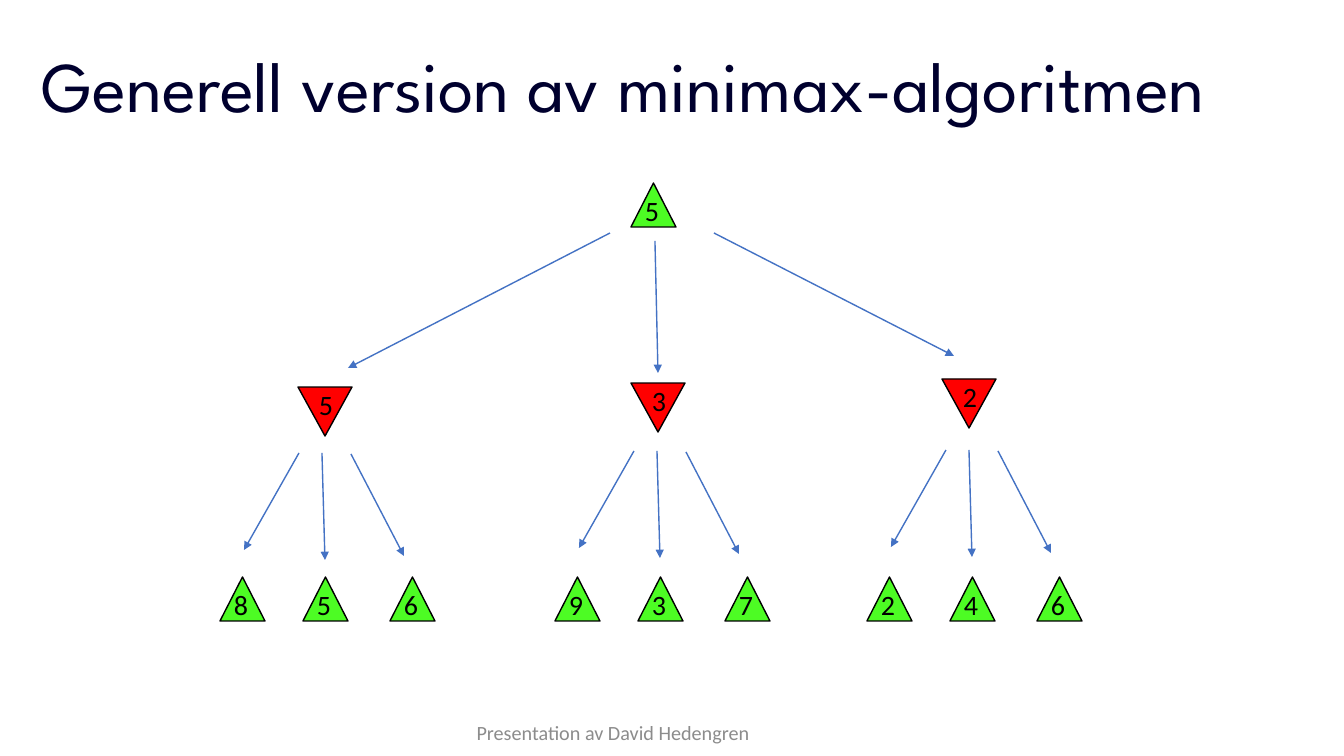
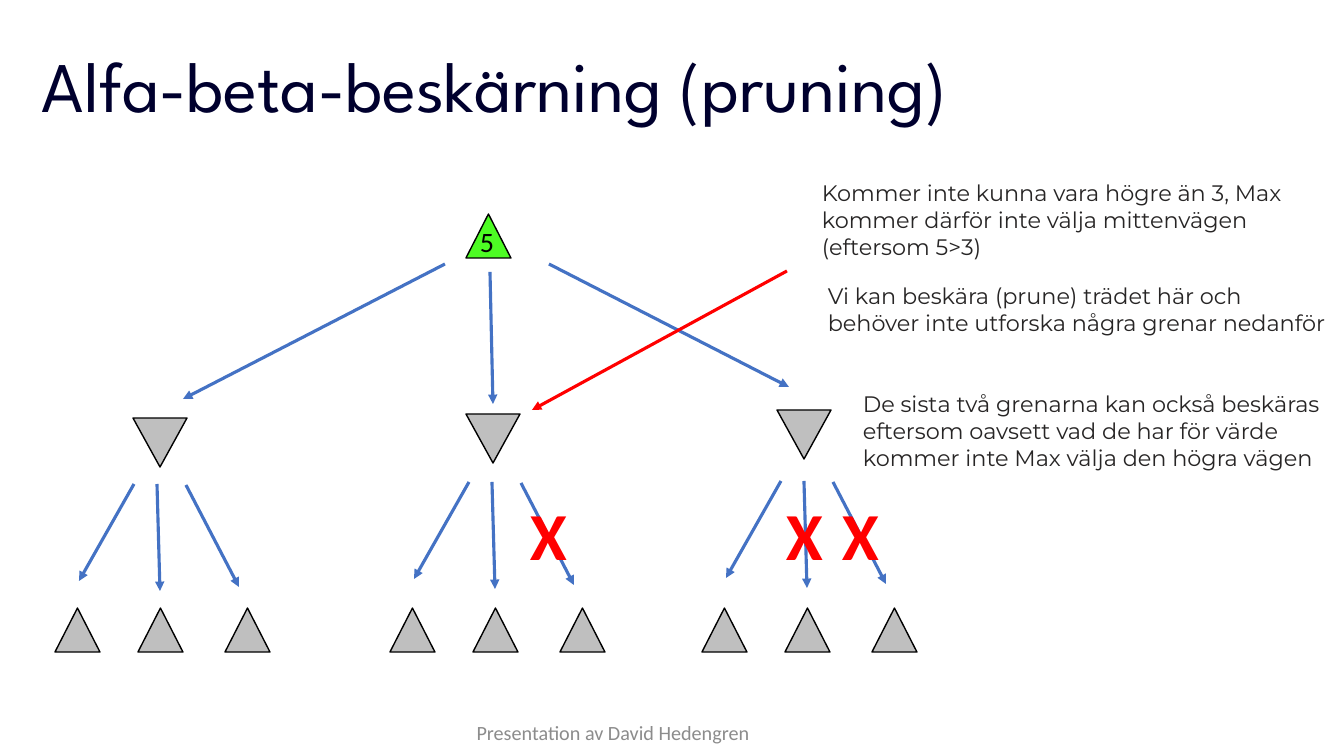
from lxml import etree
from pptx import Presentation
from pptx.dml.color import RGBColor
from pptx.enum.shapes import MSO_CONNECTOR, MSO_SHAPE
from pptx.enum.text import MSO_ANCHOR, MSO_AUTO_SIZE, PP_ALIGN
from pptx.oxml.ns import qn
from pptx.util import Emu, Pt

STRAIGHT = MSO_CONNECTOR.STRAIGHT
TRIANGLE = MSO_SHAPE.ISOSCELES_TRIANGLE
TOP, MIDDLE = MSO_ANCHOR.TOP, MSO_ANCHOR.MIDDLE
LEFT, CENTER = PP_ALIGN.LEFT, PP_ALIGN.CENTER
NO_FIT = MSO_AUTO_SIZE.NONE

EMU_PER_PX = 914400 / 100.8
TITLE_ONLY = 5
COLORS = {
    "title": "00002E", "footer": "8C8C8C", "note": "272525", "black": "000000",
    "max": "4DFC24", "min": "FF0000", "unseen": "BFBFBF",
    "arrow": "4472C4", "cut": "FF0000",
}

# Tree geometry, relative to the tree's top left corner
ROOT_X = 411
ROOT_ARROWS = [(390, 50, 128, 185), (435, 58, 438, 190), (494, 50, 734, 173)]
# Each branch: left edge, min node x (from that edge) and y, rise of its arrows
BRANCHES = [(0, 78, 204, 0), (335, 76, 200, 2), (647, 75, 196, 3)]
BRANCH_ARROWS = [(79, 270, 24, 367), (102, 270, 105, 377), (131, 271, 184, 373)]
LEAF_XS = [0, 83, 170]
LEAF_Y = 394


def px(n):
    return Emu(round(n * EMU_PER_PX))


def rgb(name):
    return RGBColor.from_string(COLORS[name])


def add_run(p, text, size, font, color, bold=False):
    r = p.add_run()
    r.text = text
    r.font.size, r.font.name, r.font.bold = Pt(size), font, bold
    r.font.color.rgb = rgb(color)


def add_text(s, box, text, size, font, color, bold=False, align=LEFT, anchor=TOP):
    tf = s.shapes.add_textbox(*map(px, box)).text_frame
    tf.word_wrap = True
    tf.vertical_anchor = anchor
    p = tf.paragraphs[0]
    p.alignment = align
    add_run(p, text, size, font, color, bold)


def add_arrow(s, x1, y1, x2, y2, width, color="arrow"):
    line = s.shapes.add_connector(STRAIGHT, px(x1), px(y1), px(x2), px(y2))
    line.line.color.rgb = rgb(color)
    line.line.width = Pt(width)
    ln = line.line._get_or_add_ln()
    etree.SubElement(ln, qn("a:tailEnd"), type="triangle")
    etree.SubElement(line._element.spPr, qn("a:effectLst"))


def add_node(s, x, y, value, kind="max"):
    """Triangle pointing up for max, down for min; grey when it has no value."""
    is_min = kind == "min"
    w, h = (54, 49) if is_min else (45, 44)
    sp = s.shapes.add_shape(TRIANGLE, px(x), px(y), px(w), px(h))
    sp.shadow.inherit = False
    sp.rotation = 180 if is_min else 0
    sp.fill.solid()
    sp.fill.fore_color.rgb = rgb("unseen" if value is None else kind)
    sp.line.color.rgb = rgb("black")
    sp.line.width = Pt(1)
    if value is not None:
        dx, dy = (11, -4) if is_min else (4, 6)
        add_text(s, (x + dx, y + dy, 58, 44), str(value), 20, "Calibri", "black")


def add_tree(s, left, top, root, branches, width):
    """branches: (min value, leaf values, indices of pruned arrows)."""
    add_node(s, left + ROOT_X, top, root)
    for x1, y1, x2, y2 in ROOT_ARROWS:
        add_arrow(s, left + x1, top + y1, left + x2, top + y2, width)
    for (bx, min_x, min_y, rise), (value, leaves, pruned) in zip(BRANCHES, branches):
        x = left + bx
        add_node(s, x + min_x, top + min_y, value, "min")
        for leaf_x, leaf in zip(LEAF_XS, leaves):
            add_node(s, x + leaf_x, top + LEAF_Y, leaf)
        for x1, y1, x2, y2 in BRANCH_ARROWS:
            add_arrow(s, x + x1, top + y1 - rise, x + x2, top + y2 - rise, width)
        for i in pruned:
            add_text(s, (x + 18 + 56 * i, top + 274, 86, 92), "X", 48,
                     "Calibri", "cut", bold=True)


def add_slide(prs, title):
    """Slide with the shared title and footer."""
    s = prs.slides.add_slide(prs.slide_layouts[TITLE_ONLY])
    sp = s.shapes.title
    sp.left, sp.top, sp.width, sp.height = map(px, (42, 37, 1289, 108))
    tf = sp.text_frame
    tf.margin_left = tf.margin_top = tf.margin_right = tf.margin_bottom = 0
    tf.word_wrap, tf.auto_size, tf.vertical_anchor = True, NO_FIT, TOP
    p = tf.paragraphs[0]
    p.alignment, p.line_spacing = LEFT, Pt(63.8)
    add_run(p, title, 50.8, "League Spartan", "title")
    add_text(s, (305, 708, 616, 48), "Presentation av David Hedengren", 14.4,
             "Calibri", "footer", align=CENTER, anchor=MIDDLE)
    return s


def minimax_slide(prs):
    s = add_slide(prs, "Generell version av minimax-algoritmen")
    branches = [(5, (8, 5, 6), ()), (3, (9, 3, 7), ()), (2, (2, 4, 6), ())]
    add_tree(s, 220, 183, 5, branches, 1)


def pruning_slide(prs):
    s = add_slide(prs, "Alfa-beta-beskärning (pruning)")
    unseen = (None, None, None)
    branches = [(None, unseen, pruned) for pruned in ((), (2,), (1, 2))]
    add_tree(s, 55, 214, 5, branches, 2.25)

    # Explanations, with an arrow to the middle branch
    notes = [
        ((812, 174, 509, 92), "Kommer inte kunna vara högre än 3, Max kommer "
         "därför inte välja mittenvägen (eftersom 5>3)"),
        ((818, 277, 526, 65), "Vi kan beskära (prune) trädet här och behöver "
         "inte utforska några grenar nedanför"),
        ((853, 385, 491, 92), "De sista två grenarna kan också beskäras eftersom "
         "oavsett vad de har för värde kommer inte Max välja den högra vägen"),
    ]
    for box, text in notes:
        add_text(s, box, text, 16, "Montserrat", "note")
    add_arrow(s, 787, 271, 532, 410, 2.25, "cut")


def main():
    prs = Presentation()
    prs.slide_width, prs.slide_height = px(1344), px(756)
    minimax_slide(prs)
    pruning_slide(prs)
    prs.save("out.pptx")


if __name__ == "__main__":
    main()
